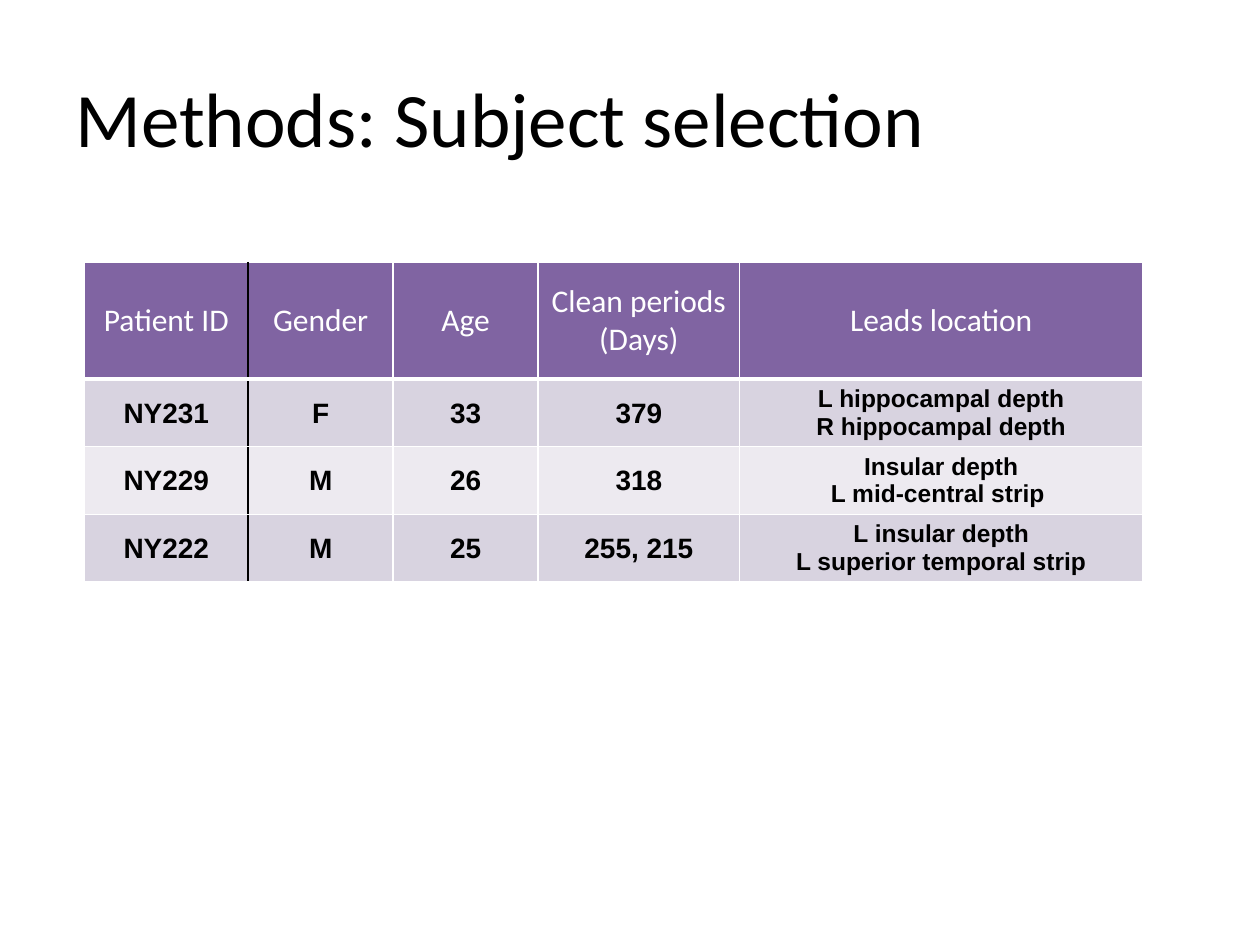
from lxml.etree import SubElement
from pptx import Presentation
from pptx.dml.color import RGBColor
from pptx.enum.text import MSO_ANCHOR, PP_ALIGN
from pptx.oxml.ns import qn
from pptx.util import Inches, Pt

COLORS = {
    "header": "8064A2",
    "band_dark": "D8D3E0",
    "band_light": "EDEAF0",
    "white": "FFFFFF",
    "black": "000000",
}
HEADINGS = ["Patient ID", "Gender", "Age", "Clean periods\n(Days)", "Leads location"]
PATIENTS = [
    ["NY231", "F", "33", "379", "L hippocampal depth\nR hippocampal depth"],
    ["NY229", "M", "26", "318", "Insular depth\nL mid-central strip "],
    ["NY222", "M", "25", "255, 215", "L insular depth\nL superior temporal strip"],
]
COLUMN_SHARES = [0.13, 0.115, 0.115, 0.16, 0.32]
HEADER_SHARE, PATIENT_SHARE = 0.123, 0.071
LEADS = len(HEADINGS) - 1


class SlideBuilder:
    """Holds the style and the current slide; lengths are shares of its size."""

    heading_font, body_font = "Calibri", "Arial"

    def __init__(self, width, height):
        self.deck = Presentation()
        self.deck.slide_width, self.deck.slide_height = Inches(width), Inches(height)
        self.slide = self.deck.slides.add_slide(self.deck.slide_layouts[6])

    def across(self, share):
        return round(self.deck.slide_width * share)

    def down(self, share):
        return round(self.deck.slide_height * share)

    def add_lines(self, frame, text, font, size, color, bold=False, align=PP_ALIGN.LEFT):
        for index, line in enumerate(text.split("\n")):
            paragraph = frame.add_paragraph() if index else frame.paragraphs[0]
            paragraph.alignment = align
            run = paragraph.add_run()
            run.text = line
            run.font.name, run.font.size, run.font.bold = font, Pt(size), bold
            run.font.color.rgb = RGBColor.from_string(COLORS[color])

    def title(self, text, left, top, width, height):
        box = self.slide.shapes.add_textbox(
            self.across(left), self.down(top), self.across(width), self.down(height))
        frame = box.text_frame
        frame.word_wrap = True
        frame.vertical_anchor = MSO_ANCHOR.MIDDLE
        self.add_lines(frame, text, self.heading_font, 44, "black")

    def borders(self, cell, row, column):
        """Rule the cell in white, with black between the first two columns."""
        sides = {
            "lnL": ("black" if column == 1 else "white", 1),
            "lnR": ("black" if column == 0 else "white", 1),
            "lnT": ("white", 1),
            "lnB": ("white", 1 if row else 3),
        }
        properties = cell._tc.get_or_add_tcPr()
        for side, (color, points) in sides.items():
            line = SubElement(properties, qn(f"a:{side}"), w=str(Pt(points)))
            fill = SubElement(line, qn("a:solidFill"))
            SubElement(fill, qn("a:srgbClr"), val=COLORS[color])

    def cell(self, cell, text, row, column):
        self.borders(cell, row, column)
        band = "band_dark" if row % 2 else "band_light"
        cell.fill.solid()
        cell.fill.fore_color.rgb = RGBColor.from_string(COLORS[band if row else "header"])
        cell.vertical_anchor = MSO_ANCHOR.MIDDLE
        if row and column != LEADS:
            cell.margin_left = cell.margin_right = cell.margin_top = Inches(0.01)
            cell.margin_bottom = 0
        if row:
            style = (self.body_font, 14 if column == LEADS else 16, "black", True)
        else:
            style = (self.heading_font, 18, "white", False)
        self.add_lines(cell.text_frame, text, *style, align=PP_ALIGN.CENTER)

    def table(self, rows, left, top, column_shares, row_shares):
        table = self.slide.shapes.add_table(
            len(rows), len(column_shares), self.across(left), self.down(top),
            self.across(sum(column_shares)), self.down(sum(row_shares))).table
        for column, share in zip(table.columns, column_shares):
            column.width = self.across(share)
        for row, share in zip(table.rows, row_shares):
            row.height = self.down(share)
        for row, texts in enumerate(rows):
            for column, text in enumerate(texts):
                self.cell(table.cell(row, column), text, row, column)


def main():
    builder = SlideBuilder(10, 7.5)
    builder.table([HEADINGS, *PATIENTS], 0.067, 0.278, COLUMN_SHARES,
                  [HEADER_SHARE] + [PATIENT_SHARE] * len(PATIENTS))
    builder.title("Methods: Subject selection", 0.05, 0.04, 0.9, 1 / 6)
    builder.deck.save("out.pptx")


if __name__ == "__main__":
    main()
